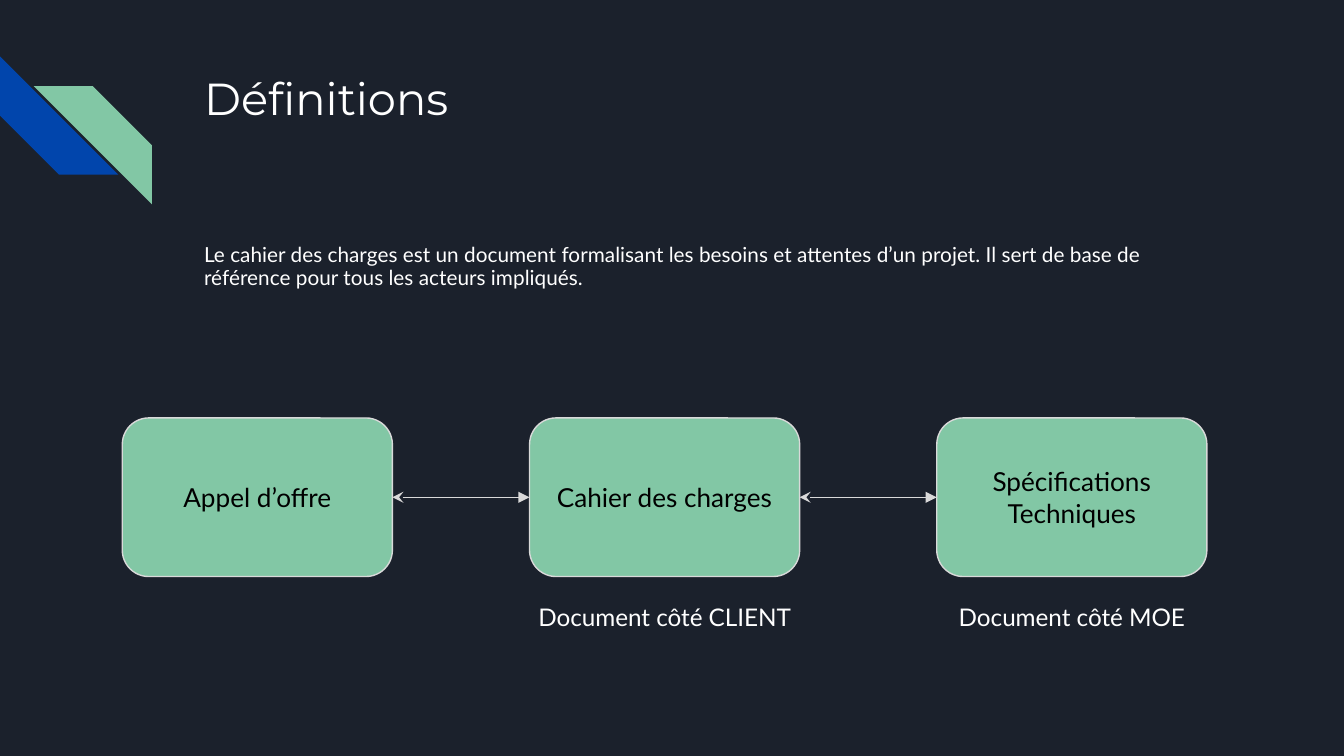
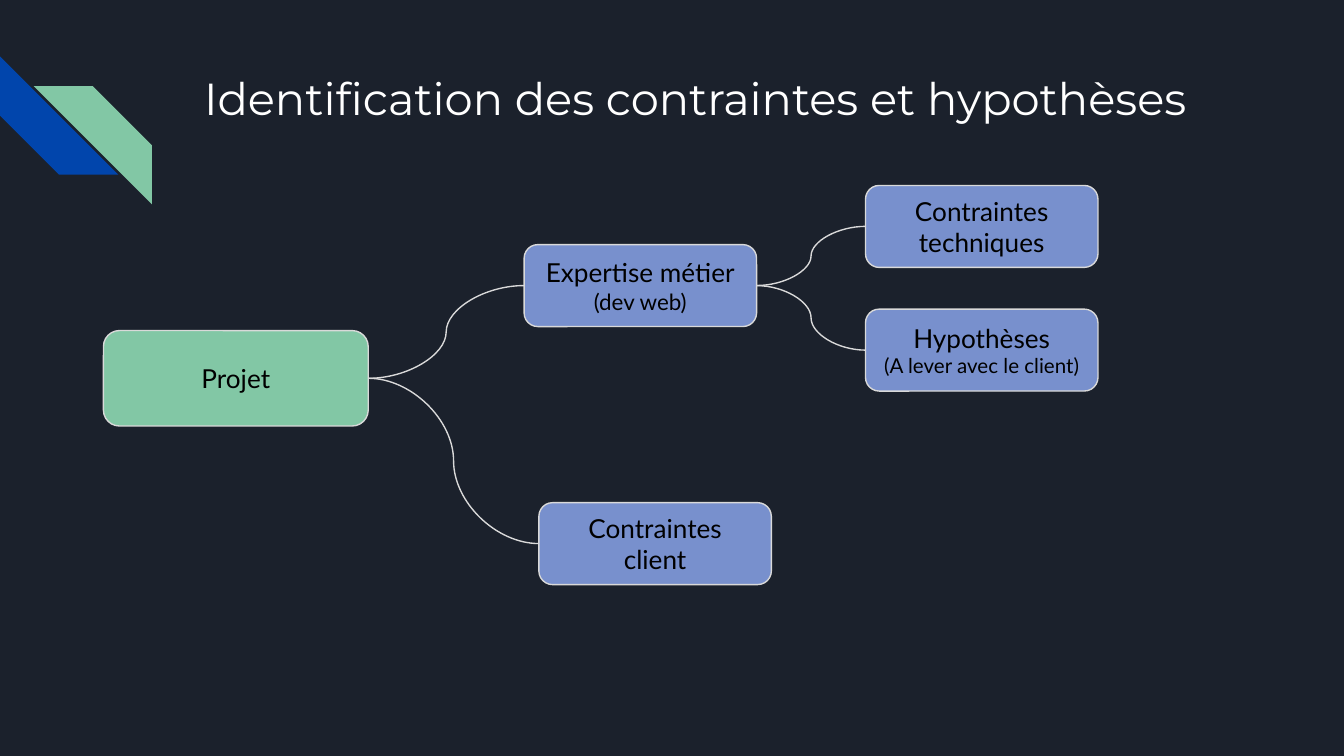
"""Build two dark slides on project specifications: a document chain and a constraint tree."""
from lxml import etree
from pptx import Presentation
from pptx.dml.color import RGBColor
from pptx.enum import shapes, text
from pptx.oxml import ns
from pptx.util import Inches, Pt

NIGHT = RGBColor(0x1B, 0x21, 0x2C)
BLUE = RGBColor(0x01, 0x45, 0xAC)
GREEN = RGBColor(0x82, 0xC7, 0xA5)
PERIWINKLE = RGBColor(0x78, 0x90, 0xCD)
GREY = RGBColor(0xD9, 0xD9, 0xD9)
WHITE = RGBColor(0xFF, 0xFF, 0xFF)
BLACK = RGBColor(0x00, 0x00, 0x00)
TITLE_FONT, BODY_FONT = "Montserrat", "Lato"
LEFT_SITE, RIGHT_SITE = 1, 3


def inches(*lengths):
    """Convert several lengths."""
    return [Inches(length) for length in lengths]


def write(sp, lines, color, font=BODY_FONT, align=text.PP_ALIGN.CENTER):
    """Fill a shape with (text, size) paragraphs and return its text frame."""
    tf = sp.text_frame
    tf.word_wrap = True
    tf.margin_left = tf.margin_right = tf.margin_top = tf.margin_bottom = Inches(0.1)
    for i, (line, size) in enumerate(lines):
        p = tf.add_paragraph() if i else tf.paragraphs[0]
        p.text = line
        p.alignment = align
        p.font.name, p.font.size, p.font.color.rgb = font, Pt(size), color
    return tf


def add_text(s, box, line, size, font=BODY_FONT, align=text.PP_ALIGN.LEFT):
    """Add a white text box anchored at the top."""
    sp = s.shapes.add_textbox(*inches(*box))
    tf = write(sp, [(line, size)], WHITE, font, align)
    tf.vertical_anchor = text.MSO_ANCHOR.TOP
    return tf


def add_stripe(s, left, top, rotation, color):
    """Add one diagonal stripe of the corner motif."""
    sp = s.shapes.add_shape(shapes.MSO_SHAPE.DIAGONAL_STRIPE, *inches(left, top, 0.88, 0.88))
    sp.rotation = rotation
    sp.shadow.inherit = False
    sp.fill.solid()
    sp.fill.fore_color.rgb = color
    sp.line.fill.background()


def add_slide(prs, title):
    """Add a slide with the corner motif and its title."""
    s = prs.slides.add_slide(prs.slide_layouts[6])
    add_stripe(s, 0, 0.42, 270, BLUE)
    add_stripe(s, 0.25, 0.64, 90, GREEN)
    add_text(s, (1.42, 0.43, 7.7, 1), title, 24, TITLE_FONT)
    return s


def add_node(s, box, color, *lines):
    """Add a rounded box with centred black text."""
    sp = s.shapes.add_shape(shapes.MSO_SHAPE.ROUNDED_RECTANGLE, *inches(*box))
    sp.shadow.inherit = False
    sp.fill.solid()
    sp.fill.fore_color.rgb = color
    sp.line.color.rgb, sp.line.width = GREY, Pt(0.75)
    write(sp, lines, BLACK).vertical_anchor = text.MSO_ANCHOR.MIDDLE
    return sp


def link(s, start, end, kind, arrows=False):
    """Connect the right side of one node to the left side of another."""
    cx = s.shapes.add_connector(kind, 0, 0, 0, 0)
    cx.begin_connect(start, RIGHT_SITE)
    cx.end_connect(end, LEFT_SITE)
    cx.line.color.rgb, cx.line.width = GREY, Pt(0.75)
    if arrows:
        ln = cx.line._get_or_add_ln()
        etree.SubElement(ln, ns.qn("a:headEnd"), type="stealth")
        etree.SubElement(ln, ns.qn("a:tailEnd"), type="triangle")
    etree.SubElement(cx._element.spPr, ns.qn("a:effectLst"))


def build_definitions(prs):
    """Build the chain of three documents."""
    s = add_slide(prs, "Définitions")
    tf = add_text(
        s, (1.42, 1.71, 7.7, 0.73),
        "Le cahier des charges est un document formalisant les besoins et attentes "
        "d’un projet. Il sert de base de référence pour tous les acteurs impliqués.", 11.1)
    tf.paragraphs[0].line_spacing = 0.95
    tf.paragraphs[0].space_after = Pt(12)

    documents = [("Appel d’offre", None),
                 ("Cahier des charges", "Document côté CLIENT"),
                 ("Spécifications Techniques", "Document côté MOE")]
    previous = None
    for i, (name, caption) in enumerate(documents):
        left = 0.91 + i * 3.03
        node = add_node(s, (left, 3.11, 2.01, 1.18), GREEN, (name, 14))
        if caption:
            add_text(s, (left - 0.11, 4.38, 2.23, 0.43), caption, 13,
                     align=text.PP_ALIGN.CENTER)
        if previous:
            link(s, previous, node, shapes.MSO_CONNECTOR.STRAIGHT, arrows=True)
        previous = node


def build_constraints(prs):
    """Build the tree of constraints and hypotheses."""
    s = add_slide(prs, "Identification des contraintes et hypothèses")

    def branch(left, top, *lines):
        """Add one blue node of the tree."""
        return add_node(s, (left, top, 1.73, 0.61), PERIWINKLE, *lines)

    project = add_node(s, (0.77, 2.46, 1.97, 0.71), GREEN, ("Projet", 14))
    technical = branch(6.44, 1.38, ("Contraintes techniques", 14))
    hypotheses = branch(6.44, 2.3, ("Hypothèses", 14), ("(A lever avec le client)", 11))
    expertise = branch(3.9, 1.82, ("Expertise métier", 14), ("(dev web)", 12))
    client = branch(4.01, 3.74, ("Contraintes client", 14))
    for start, end in [(project, expertise), (expertise, technical),
                       (expertise, hypotheses), (project, client)]:
        link(s, start, end, shapes.MSO_CONNECTOR.CURVE)


def main():
    """Create and save the presentation."""
    prs = Presentation()
    prs.slide_width = Inches(10)
    prs.slide_height = prs.slide_width * 9 // 16
    fill = prs.slide_master.background.fill
    fill.solid()
    fill.fore_color.rgb = NIGHT
    build_definitions(prs)
    build_constraints(prs)
    prs.save("out.pptx")


if __name__ == "__main__":
    main()
